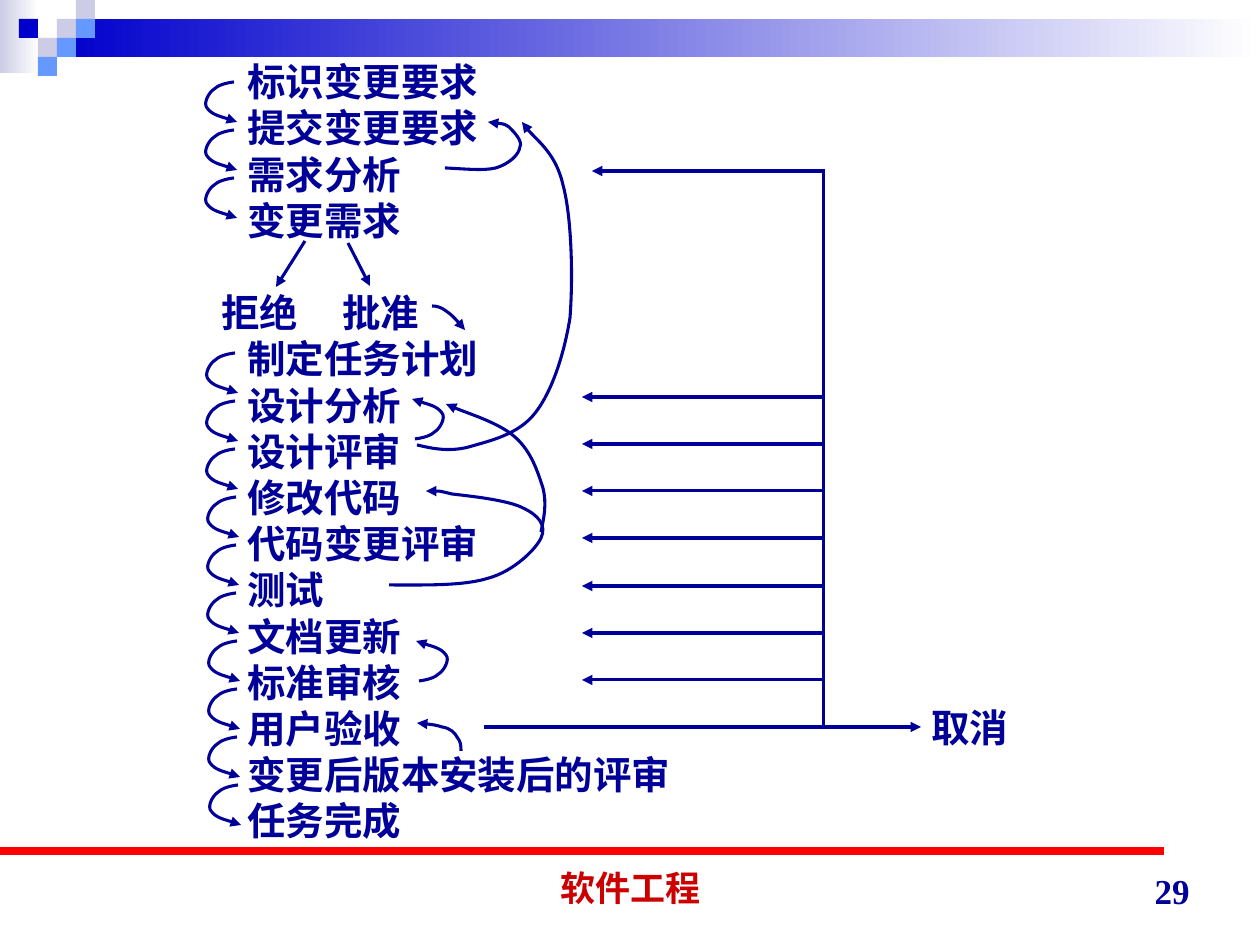
from lxml import etree
from pptx import Presentation
from pptx.dml.color import RGBColor
from pptx.enum import shapes, text
from pptx.oxml import ns
from pptx.util import Emu, Pt

SCALE = 914400 / 126
COLORS = {"ink": "000099", "bar": "0000CC", "pale": "CCCCE6", "sky": "6699FF",
          "white": "FFFFFF", "rule": "FF0000", "footer": "CC0000"}
STEPS = ["标识变更要求", "提交变更要求", "需求分析", "变更需求", "拒绝\t批准",
         "制定任务计划", "设计分析", "设计评审", "修改代码", "代码变更评审", "测试",
         "文档更新", "标准审核", "用户验收", "变更后版本安装后的评审", "任务完成"]
HOOK = [(31, 0), (23, 1), (15, 3), (10, 8), (6, 11), (0, 21), (4, 26),
        (9, 33), (29, 38), (34, 40)]
TURNED_HOOK = [(34 - x, 40 - y) for x, y in HOOK]
FEEDBACK = {
    "approval to plan": [
        (232, 256), (236, 256), (241, 257), (246, 261), (252, 265), (261, 275), (265, 280)],
    "analysis to request": [
        (245, 118), (265, 119), (284, 121), (296, 118), (309, 114), (319, 105), (320, 97),
        (323, 91), (314, 82), (309, 77), (303, 73), (291, 73), (288, 72)],
    "installation to acceptance": [
        (261, 701), (261, 696), (261, 692), (257, 687), (255, 683), (250, 678), (242, 677),
        (236, 675), (221, 673), (217, 673)],
    "test to code": [
        (189, 535), (226, 535), (264, 536), (289, 528), (314, 521), (336, 499), (341, 488),
        (347, 475), (338, 465), (323, 458), (308, 450), (269, 446), (252, 444),
        (236, 440), (231, 441), (226, 441)],
    "test to design": [
        (341, 482), (344, 468), (347, 454), (343, 438), (338, 423), (332, 402), (315, 387),
        (299, 373), (257, 360), (246, 354)],
    "review to request": [
        (217, 395), (233, 399), (250, 402), (269, 397), (289, 391), (319, 385), (336, 362),
        (352, 341), (364, 305), (370, 268), (373, 230), (372, 168), (363, 135),
        (356, 104), (329, 84), (322, 72)],
}


def px(length):
    return Emu(round(length * SCALE))


def color(name):
    return RGBColor.from_string(COLORS[name])


def style_line(shape, name="ink", width=1.75, arrow=True):
    shape.line.color.rgb = color(name)
    shape.line.width = Pt(width)
    if arrow:
        etree.SubElement(shape.line._get_or_add_ln(), ns.qn("a:tailEnd"), type="triangle")


def add_line(page, start, end, **style):
    line = page.shapes.add_connector(
        shapes.MSO_CONNECTOR.STRAIGHT, *map(px, (*start, *end)))
    etree.SubElement(line.element.spPr, ns.qn("a:effectLst"))
    style_line(line, **style)


def add_curve(page, left, top, points):
    places = [(left + x, top + y) for x, y in points]
    builder = page.shapes.build_freeform(*places[0], scale=SCALE)
    builder.add_line_segments(places[1:], close=False)
    curve = builder.convert_to_shape()
    segments = list(curve.element.iter(ns.qn("a:lnTo")))
    for first in range(0, len(segments), 3):
        bezier = etree.Element(ns.qn("a:cubicBezTo"))
        segments[first].addprevious(bezier)
        for segment in segments[first:first + 3]:
            bezier.append(segment[0])
            segment.getparent().remove(segment)
    curve.shadow.inherit = False
    curve.fill.background()
    style_line(curve)


def add_text(page, box, words, size=22, font="Times New Roman", ink="ink",
             align=text.PP_ALIGN.LEFT, anchor=text.MSO_ANCHOR.TOP, wrap=True):
    frame = page.shapes.add_textbox(*map(px, box)).text_frame
    frame.word_wrap = wrap
    frame.vertical_anchor = anchor
    for index, line in enumerate(words.split("\n")):
        para = frame.add_paragraph() if index else frame.paragraphs[0]
        para.alignment = align
        span = para.add_run()
        span.text = line
        span.font.size = Pt(size)
        span.font.name = font
        span.font.bold = True
        span.font.color.rgb = color(ink)
    return frame


def add_block(page, box, *names):
    block = page.shapes.add_shape(shapes.MSO_SHAPE.RECTANGLE, *map(px, box))
    block.shadow.inherit = False
    block.line.fill.background()
    if len(names) == 1:
        block.fill.solid()
        block.fill.fore_color.rgb = color(names[0])
    else:
        block.fill.gradient()
        block.fill.gradient_angle = 0
        for stop, name in zip(block.fill.gradient_stops, names):
            stop.color.rgb = color(name)


def draw_header(page, left, top, width):
    cell = 19
    add_block(page, (left, top, 39, 73), "pale", "white")
    add_block(page, (left + 3 * cell, top + cell, width - 3 * cell, 2 * cell), "bar", "white")
    for column, row, name in [(3, 1, "pale"), (4, 0, "pale"), (4, 1, "sky"), (2, 2, "pale"),
                              (1, 1, "bar"), (3, 2, "sky"), (2, 3, "sky")]:
        add_block(page, (left + column * cell, top + row * cell, cell, cell), name)


def draw_steps(page, left, top):
    frame = add_text(page, (left + 9, top + 2, 490, 844), "\n".join(STEPS))
    for para in frame.paragraphs:
        layout = para._p.get_or_add_pPr()
        if "\t" in para.text:
            para.space_before = Pt(26.5)
            tabs = etree.SubElement(layout, ns.qn("a:tabLst"))
            etree.SubElement(tabs, ns.qn("a:tab"), pos=str(px(121)), algn="l")
        else:
            layout.set("marL", str(px(26)))
            layout.set("indent", "0")
    hook_tops = [32 + 48 * i for i in range(3)] + [303 + 48 * i for i in range(10)]
    for index, hook_top in enumerate(hook_tops):
        add_curve(page, left + 3 + index // 3, top + hook_top, HOOK)
    for x, y in [(212, 349), (216, 591)]:
        add_curve(page, left + x, top + y, TURNED_HOOK)
    for points in FEEDBACK.values():
        add_curve(page, left, top, points)
    for x, y, end_x, end_y in [(105, 191, 76, 237), (148, 193, 170, 236)]:
        add_line(page, (left + x, top + y), (left + end_x, top + end_y))


def draw_returns(page, left, top):
    spine = left + 340
    bottom = top + 558
    add_line(page, (spine, top), (spine, bottom), arrow=False)
    add_line(page, (left, bottom), (left + 437, bottom))
    add_line(page, (spine, top + 2), (left + 108, top + 2))
    for index in range(7):
        y = top + 228 + index * 189 // 4
        add_line(page, (spine, y), (left + 98, y))
    add_text(page, (left + 435, bottom - 29, 102, 59), "取消", wrap=False)


def draw_footer(page, left, top):
    add_line(page, (left, top), (left + 1164, top), name="rule", width=4.5, arrow=False)
    add_text(page, (left + 431, top + 1, 399, 63), "软件工程", size=20, font="Arial",
             ink="footer", align=text.PP_ALIGN.CENTER, anchor=text.MSO_ANCHOR.BOTTOM)
    add_text(page, (left + 908, top + 4, 294, 63), "29", size=20,
             align=text.PP_ALIGN.RIGHT, anchor=text.MSO_ANCHOR.BOTTOM)


def main():
    deck = Presentation()
    deck.slide_width, deck.slide_height = px(1260), px(945)
    page = deck.slides.add_slide(deck.slide_layouts[6])
    draw_header(page, 0, 0, 1260)
    draw_steps(page, 200, 50)
    draw_returns(page, 484, 169)
    draw_footer(page, 0, 851)
    deck.save("out.pptx")


if __name__ == "__main__":
    main()
